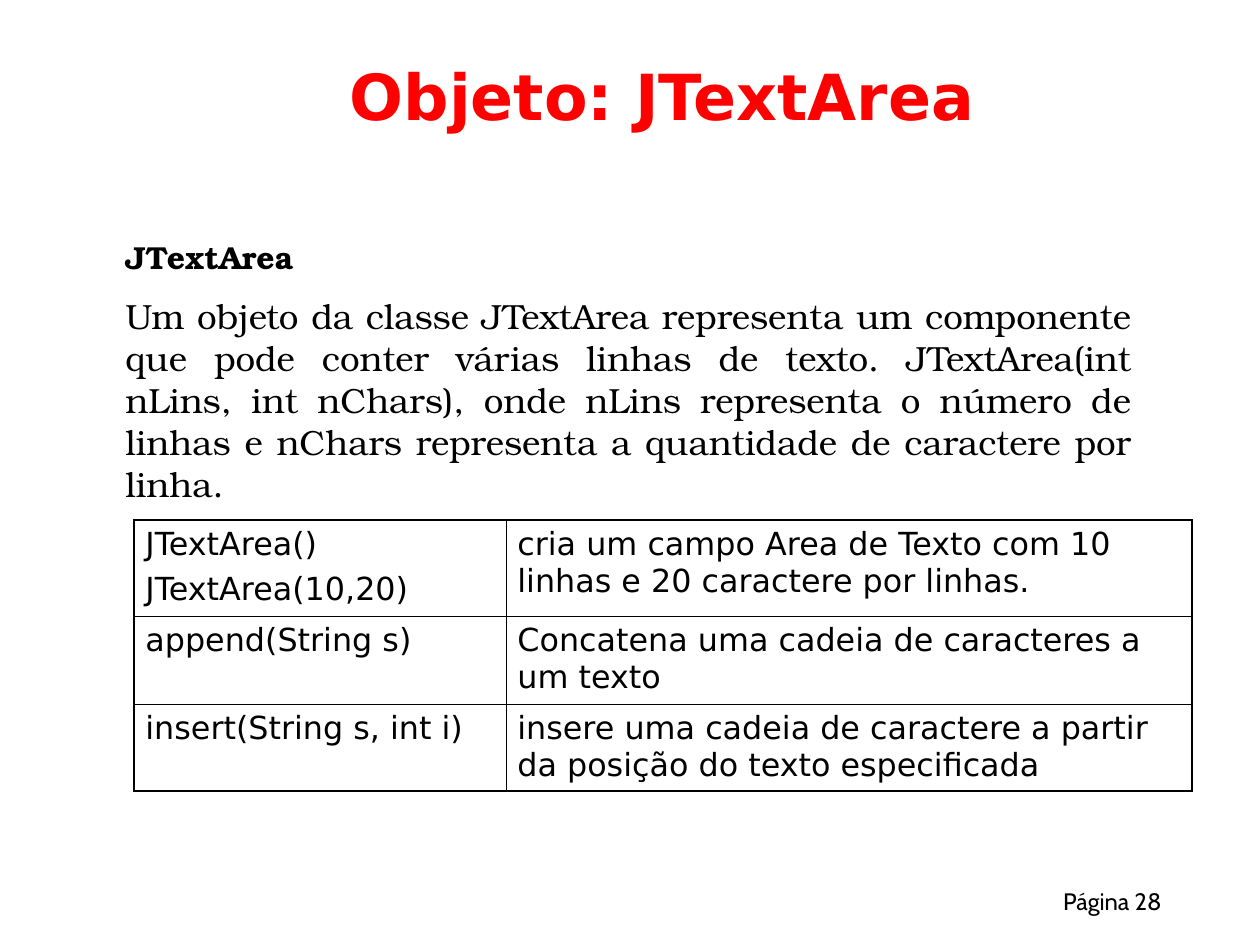
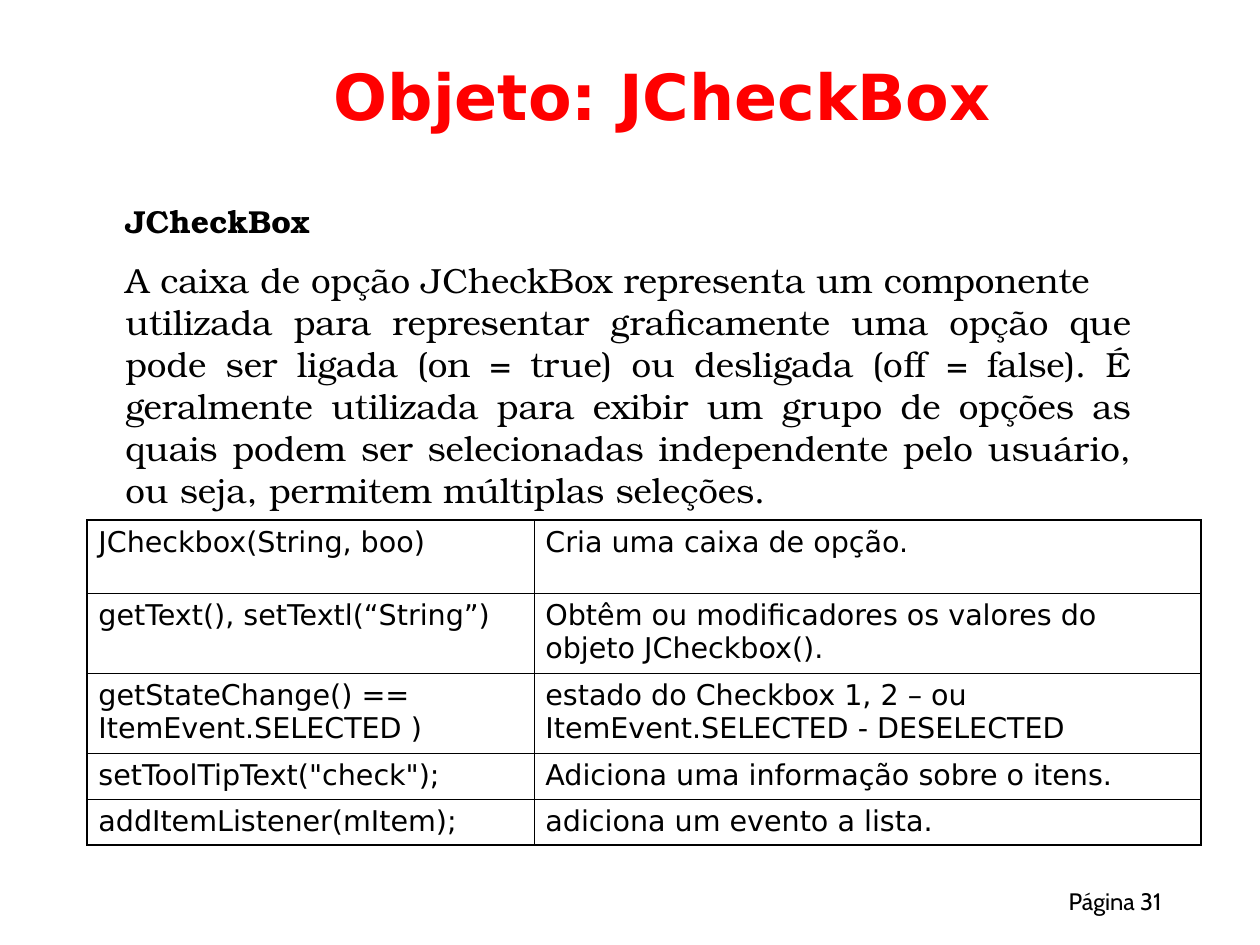
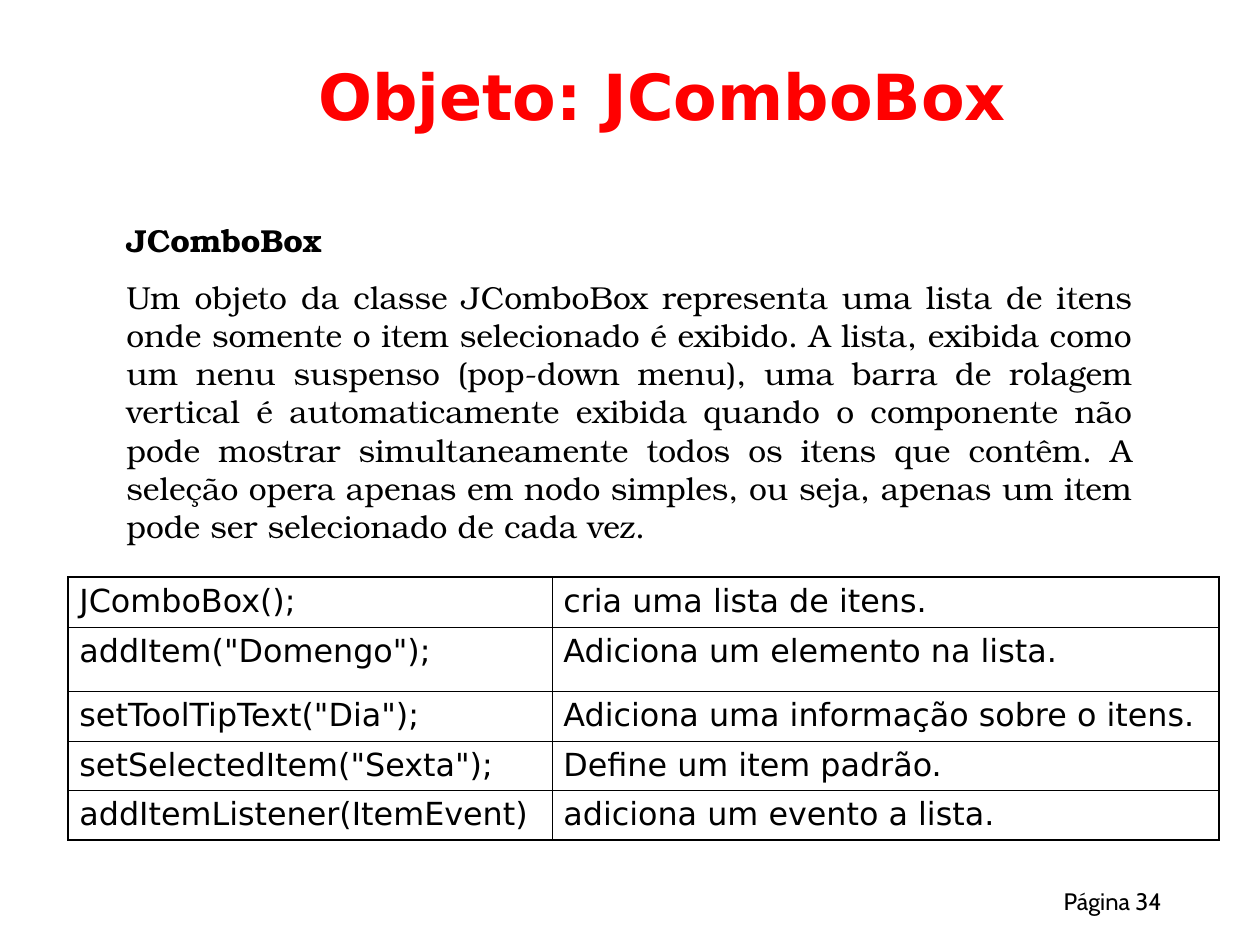
from lxml import etree
from pptx import Presentation
from pptx import util as u
from pptx.dml.color import RGBColor
from pptx.enum import text as t
from pptx.oxml import ns

PX = 8000  # EMU in one px
WIDE, HIGH = 1260, 945
BLACK, RED = "000000", "FF0000"
SANS, SERIF, FOOT = "DejaVu Sans", "TeX Gyre Bonum", "Cabin"
THIN, THICK = 0.45, 1.08
TITLE_BOX = (181, 57, 962, 77)
PAGE_BOX = (890, 876, 283, 50)

SLIDES = [
    {
        "name": "JTextArea", "page": 28, "size": 22,
        "box": (114, 232, 1029, 279),
        "body": ["Um objeto da classe JTextArea representa um componente que pode "
                 "conter várias linhas de texto. JTextArea(int nLins, int nChars), "
                 "onde nLins representa o número de linhas e nChars representa a "
                 "quantidade de caractere por linha."],
        "at": (134, 520), "cols": (372, 686), "rows": (96, 88, 87), "cell": 20,
        "data": [
            ("JTextArea()\nJTextArea(10,20)",
             "cria um campo Area de Texto com 10 linhas e 20 caractere por linhas."),
            ("append(String s)", "Concatena uma cadeia de caracteres a um texto"),
            ("insert(String s, int i)",
             "insere uma cadeia de caractere a partir da posição do texto especificada"),
        ],
    },
    {
        "name": "JCheckBox", "page": 31, "size": 22,
        "box": (114, 196, 1029, 320),
        "body": ["A caixa de opção JCheckBox representa um componente",
                 "utilizada para representar graficamente uma opção que pode ser "
                 "ligada (on = true) ou desligada (off = false). É geralmente "
                 "utilizada para exibir um grupo de opções as quais podem ser "
                 "selecionadas independente pelo usuário, ou seja, permitem "
                 "múltiplas seleções."],
        "at": (87, 520), "cols": (447, 667), "rows": (73, 80, 80, 46, 46), "cell": 18,
        "data": [
            ("JCheckbox(String, boo)", "Cria uma caixa de opção."),
            ("getText(), setTextl(“String”)",
             "Obtêm ou modificadores os valores do objeto JCheckbox()."),
            ("getStateChange() == ItemEvent.SELECTED )",
             "estado do Checkbox 1, 2 – ou ItemEvent.SELECTED - DESELECTED"),
            ('setToolTipText("check");', "Adiciona uma informação sobre o itens."),
            ("addItemListener(mItem);", "adiciona um evento a lista."),
        ],
    },
    {
        "name": "JComboBox", "page": 34, "size": 20,
        "box": (115, 215, 1029, 336),
        "body": ["Um objeto da classe JComboBox representa uma lista de itens onde "
                 "somente o item selecionado é exibido. A lista, exibida como um "
                 "nenu suspenso (pop-down menu), uma barra de rolagem vertical é "
                 "automaticamente exibida quando o componente não pode mostrar "
                 "simultaneamente todos os itens que contêm. A seleção opera apenas "
                 "em nodo simples, ou seja, apenas um item pode ser selecionado de "
                 "cada vez."],
        "at": (68, 577), "cols": (484, 667), "rows": (50, 64, 50, 49, 50), "cell": 20,
        "data": [
            ("JComboBox();", "cria uma lista de itens."),
            ('addItem("Domengo");', "Adiciona um elemento na lista."),
            ('setToolTipText("Dia");', "Adiciona uma informação sobre o itens."),
            ('setSelectedItem("Sexta");', "Define um item padrão."),
            ("addItemListener(ItemEvent)", "adiciona um evento a lista."),
        ],
    },
]


def paint(color):
    return RGBColor.from_string(color)


def place(shape, box, anchor):
    shape.left, shape.top, shape.width, shape.height = [n * PX for n in box]
    frame = shape.text_frame
    frame.word_wrap = True
    frame.auto_size = t.MSO_AUTO_SIZE.NONE
    frame.vertical_anchor = anchor
    return frame


def write(para, words, size, font=SANS, color=BLACK, bold=False,
          align=t.PP_ALIGN.LEFT, before=0):
    para.alignment = align
    para.space_before = u.Pt(before)
    run = para.add_run()
    run.text = words
    run.font.size, run.font.name, run.font.bold = u.Pt(size), font, bold
    run.font.color.rgb = paint(color)


def plain(para):
    """Take the bullet and its indent off a list paragraph."""
    props = para._p.get_or_add_pPr()
    props.set("marL", "0")
    props.set("indent", "0")
    etree.SubElement(props, ns.qn("a:buNone"))


def edge(cell, side, width):
    line = etree.SubElement(cell._tc.get_or_add_tcPr(), ns.qn("a:ln" + side),
                            w=str(u.Pt(width)))
    fill = etree.SubElement(line, ns.qn("a:solidFill"))
    etree.SubElement(fill, ns.qn("a:srgbClr"), val=BLACK)


def add_grid(slide, at, cols, rows, data, size):
    box = [n * PX for n in (*at, sum(cols), sum(rows))]
    grid = slide.shapes.add_table(len(rows), len(cols), *box).table
    grid.first_row = grid.horz_banding = False
    for part, width in zip(grid.columns, cols):
        part.width = width * PX
    for part, height in zip(grid.rows, rows):
        part.height = height * PX
    for r, row in enumerate(data):
        for c, words in enumerate(row):
            cell = grid.cell(r, c)
            outer = {"L": c == 0, "R": c == len(cols) - 1,
                     "T": r == 0, "B": r == len(rows) - 1}
            for side, thick in outer.items():
                edge(cell, side, THICK if thick else THIN)
            cell.fill.background()
            frame = cell.text_frame
            for i, line in enumerate(words.split("\n")):
                para = frame.add_paragraph() if i else frame.paragraphs[0]
                write(para, line, size, before=size / 4)


def build(deck, item):
    slide = deck.slides.add_slide(deck.slide_layouts[1])
    title, body = slide.placeholders
    frame = place(title, TITLE_BOX, t.MSO_ANCHOR.MIDDLE)
    frame.margin_left = frame.margin_right = 0
    frame.margin_top = frame.margin_bottom = 0
    write(frame.paragraphs[0], "Objeto: " + item["name"], 40, color=RED, bold=True,
          align=t.PP_ALIGN.CENTER)

    frame = place(body, item["box"], t.MSO_ANCHOR.TOP)
    for i, words in enumerate([item["name"], *item["body"]]):
        para = frame.add_paragraph() if i else frame.paragraphs[0]
        write(para, words, item["size"] if i else 20, font=SERIF, bold=i == 0,
              align=t.PP_ALIGN.JUSTIFY, before=12 if i == 1 else 0)
        plain(para)

    add_grid(slide, item["at"], item["cols"], item["rows"], item["data"], item["cell"])

    page = slide.shapes.add_textbox(0, 0, PX, PX)
    frame = place(page, PAGE_BOX, t.MSO_ANCHOR.MIDDLE)
    write(frame.paragraphs[0], f"Página {item['page']}", 15, font=FOOT,
          align=t.PP_ALIGN.RIGHT)


def main():
    deck = Presentation()
    deck.slide_width, deck.slide_height = WIDE * PX, HIGH * PX
    for item in SLIDES:
        build(deck, item)
    deck.save("out.pptx")


if __name__ == "__main__":
    main()
